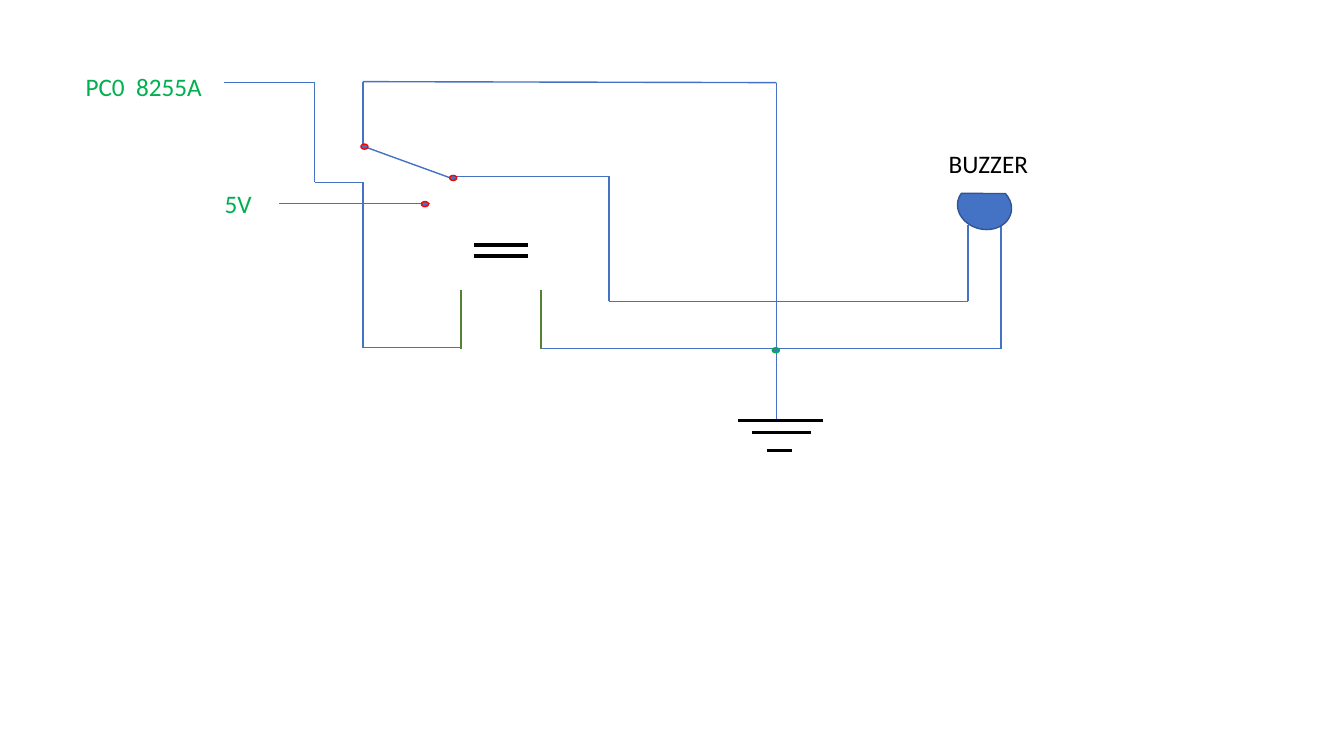
from dataclasses import dataclass
from itertools import pairwise

from lxml.etree import SubElement
from pptx import Presentation
from pptx.dml.color import RGBColor
from pptx.enum.shapes import MSO_CONNECTOR, MSO_SHAPE
from pptx.enum.text import MSO_AUTO_SIZE
from pptx.oxml.ns import qn
from pptx.util import Inches, Pt


@dataclass(frozen=True)
class Theme:
    font: str = "Calibri"
    label_size: float = 18
    thin: float = 1
    medium: float = 1.5
    thick: float = 2.25
    blue: str = "4472C4"
    dark_blue: str = "325491"
    green: str = "00B050"
    dark_green: str = "548235"
    red: str = "FF0000"
    black: str = "000000"


class CircuitSlide:
    def __init__(self, presentation, theme):
        self.theme = theme
        self.slide = presentation.slides.add_slide(presentation.slide_layouts[6])

    def wire(self, points, color=None, width=None):
        for start, end in pairwise(points):
            connector = self.slide.shapes.add_connector(
                MSO_CONNECTOR.STRAIGHT, *map(Inches, (*start, *end)))
            connector.line.color.rgb = RGBColor.from_string(color or self.theme.blue)
            connector.line.width = Pt(width or self.theme.thin)
            SubElement(connector.element.spPr, qn("a:effectLst"))

    def plate(self, left, right, y):
        self.wire([(left, y), (right, y)], self.theme.black, self.theme.thick)

    def symbol(self, kind, left, top, width, height, outline):
        shape = self.slide.shapes.add_shape(
            kind, *map(Inches, (left, top, width, height)))
        shape.shadow.inherit = False
        shape.fill.solid()
        shape.fill.fore_color.rgb = RGBColor.from_string(self.theme.blue)
        shape.line.color.rgb = RGBColor.from_string(outline)
        shape.line.width = Pt(self.theme.thin)
        return shape

    def terminal(self, left, top, outline):
        self.symbol(MSO_SHAPE.OVAL, left, top, 0.07, 0.05, outline)

    def buzzer(self, left, top, width, height):
        shape = self.symbol(MSO_SHAPE.CHORD, left, top, width, height,
                            self.theme.dark_blue)
        shape.adjustments[0] = 27
        shape.adjustments[1] = 172.125
        shape.rotation = 282.9

    def label(self, text, left, top, width, color):
        box = self.slide.shapes.add_textbox(
            *map(Inches, (left, top, width, 0.4)))
        frame = box.text_frame
        frame.word_wrap = True
        frame.auto_size = MSO_AUTO_SIZE.SHAPE_TO_FIT_TEXT
        run = frame.paragraphs[0].add_run()
        run.text = text
        run.font.name = self.theme.font
        run.font.size = Pt(self.theme.label_size)
        run.font.color.rgb = RGBColor.from_string(color)


def main():
    presentation = Presentation()
    presentation.slide_width = Inches(13.33)
    presentation.slide_height = Inches(7.5)
    theme = Theme()
    circuit = CircuitSlide(presentation, theme)

    for y in (2.43, 2.54):
        circuit.plate(4.7, 5.24, y)
    for x in (4.57, 5.37):
        circuit.wire([(x, 2.88), (x, 3.46)], theme.dark_green, theme.medium)

    control_wire = [(4.57, 3.45), (3.6, 3.45), (3.6, 1.81),
                    (3.12, 1.81), (3.12, 0.82), (2.22, 0.82)]
    supply_wire = [(2.77, 2.02), (4.26, 2.02)]
    ground_wire = [(3.6, 1.45), (3.6, 0.81), (7.7, 0.82), (7.7, 4.17)]
    return_wire = [(5.37, 3.46), (9.93, 3.46), (9.93, 2.23)]
    buzzer_wire = [(9.6, 2.23), (9.6, 2.99), (6.04, 2.99),
                   (6.04, 1.75), (4.51, 1.75)]
    switch_arm = [(4.48, 1.77), (3.6, 1.45)]
    for points in (control_wire, supply_wire, ground_wire,
                   return_wire, buzzer_wire, switch_arm):
        circuit.wire(points)

    circuit.buzzer(9.54, 1.78, 0.45, 0.54)
    for left, top in ((4.18, 2), (4.46, 1.74), (3.58, 1.43)):
        circuit.terminal(left, top, theme.red)
    circuit.terminal(7.66, 3.45, theme.green)

    circuit.label("PC0  8255A", 0.75, 0.66, 1.47, theme.green)
    circuit.label("5V", 2.13, 1.82, 1.3, theme.green)
    circuit.label("BUZZER", 9.31, 1.42, 1.52, theme.black)

    for left, right, y in ((7.32, 8.16, 4.17), (7.46, 8.04, 4.29),
                           (7.61, 7.86, 4.47)):
        circuit.plate(left, right, y)

    presentation.save("out.pptx")


if __name__ == "__main__":
    main()
